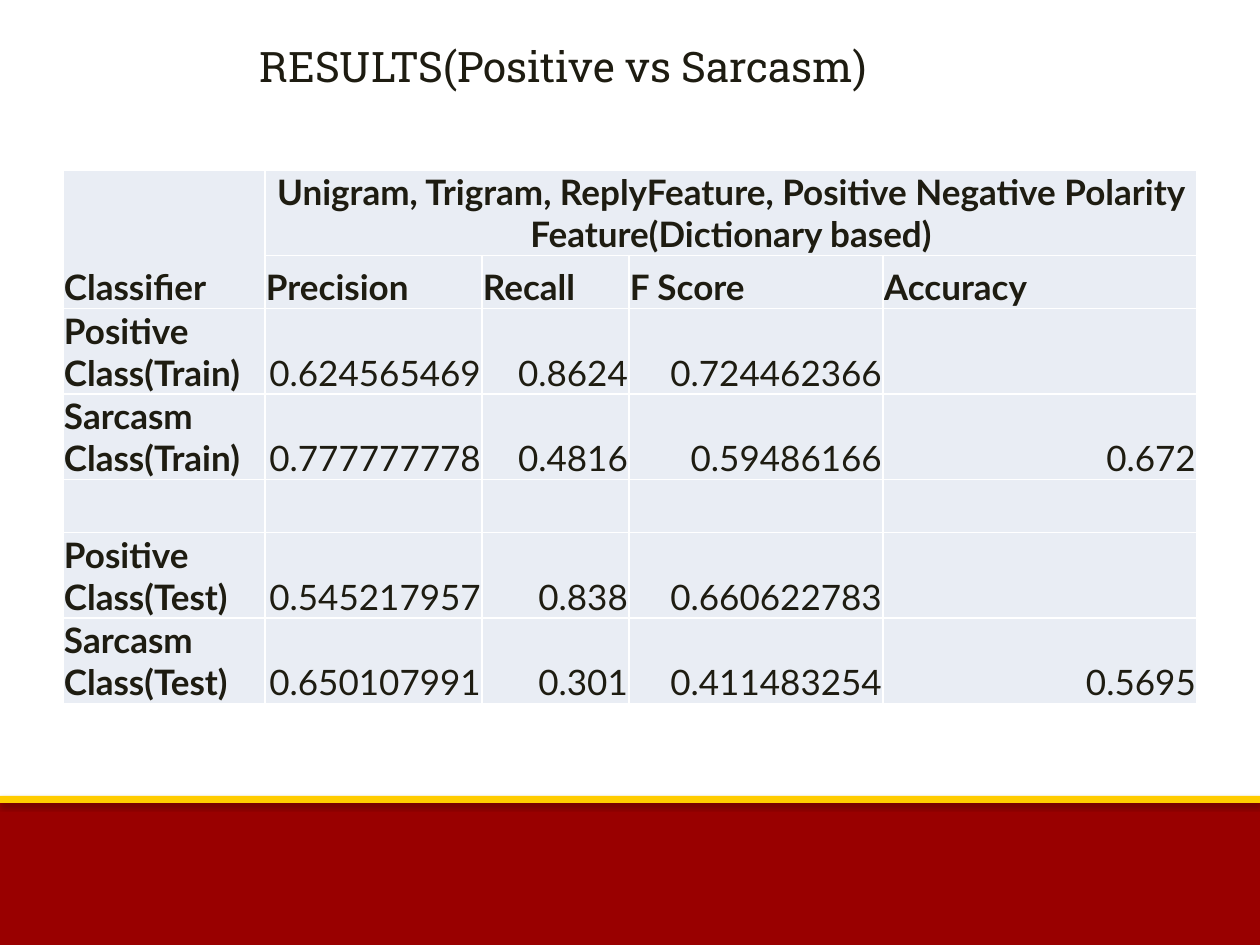
from lxml import etree
from pptx import Presentation
from pptx.dml.color import RGBColor
from pptx.enum.shapes import MSO_SHAPE
from pptx.enum.text import MSO_ANCHOR, MSO_AUTO_SIZE, PP_ALIGN
from pptx.oxml import parse_xml
from pptx.oxml.ns import nsdecls, qn
from pptx.util import Emu, Pt

RECTANGLE = MSO_SHAPE.RECTANGLE
TOP, BOTTOM = MSO_ANCHOR.TOP, MSO_ANCHOR.BOTTOM
LEFT, CENTER, RIGHT = PP_ALIGN.LEFT, PP_ALIGN.CENTER, PP_ALIGN.RIGHT
NO_AUTOFIT = MSO_AUTO_SIZE.NONE
TITLE_ONLY = 5

COLORS = {
    "text": "1E1C11",
    "cell": "E9EDF4",
    "border": "FFFFFF",
    "band": "990000",
    "stripe": "FFCC00",
    "shadow": "000000",
}

HEADER_ROWS = 2
COLUMN_WIDTHS = [202, 217, 147, 254, 314]
ROW_HEIGHTS = [84, 53, 85, 85, 53, 85, 85]
RESULTS = [
    ["Classifier", "Unigram, Trigram, ReplyFeature, Positive Negative Polarity "
     "Feature(Dictionary based)", "", "", ""],
    ["", "Precision", "Recall", "F Score", "Accuracy"],
    ["Positive Class(Train)", "0.624565469", "0.8624", "0.724462366", ""],
    ["Sarcasm Class(Train)", "0.777777778", "0.4816", "0.59486166", "0.672"],
    ["", "", "", "", ""],
    ["Positive Class(Test)", "0.545217957", "0.838", "0.660622783", ""],
    ["Sarcasm Class(Test)", "0.650107991", "0.301", "0.411483254", "0.5695"],
]


def px(length):
    return Emu(round(length * 914400 / 126))


def color(name):
    return RGBColor.from_string(COLORS[name])


def format_paragraph(para, face, size, align, bold=False):
    para.alignment = align
    para.font.name = face
    para.font.size = Pt(size)
    para.font.bold = bold
    para.font.color.rgb = color("text")


def add_bar(page, top, height, fill, opacity, distance):
    """Full-width footer bar with a soft shadow below it."""
    bar = page.shapes.add_shape(RECTANGLE, 0, px(top), px(1260), px(height))
    bar.fill.solid()
    bar.fill.fore_color.rgb = color(fill)
    bar.line.fill.background()
    bar.shadow.inherit = False
    effects = bar.element.spPr.find(qn("a:effectLst"))
    effects.append(parse_xml(
        f'<a:outerShdw {nsdecls("a")} blurRad="{Pt(3.1)}" dist="{Pt(distance)}" '
        f'dir="5400000" rotWithShape="0"><a:srgbClr val="{COLORS["shadow"]}">'
        f'<a:alpha val="{opacity * 1000}"/></a:srgbClr></a:outerShdw>'))


def set_title(page, text):
    title = page.shapes.title
    title.left, title.top, title.width, title.height = map(px, (2, 34, 1123, 63))
    frame = title.text_frame
    frame.text = text
    frame.auto_size = NO_AUTOFIT
    frame.vertical_anchor = TOP
    format_paragraph(frame.paragraphs[0], "Roboto Slab", 24, CENTER)


def add_borders(cell):
    properties = cell._tc.get_or_add_tcPr()
    for position, side in enumerate(("lnL", "lnR", "lnT", "lnB")):
        line = etree.Element(qn(f"a:{side}"), w=str(Pt(1)))
        fill = etree.SubElement(line, qn("a:solidFill"))
        etree.SubElement(fill, qn("a:srgbClr"), val=COLORS["border"])
        properties.insert(position, line)


def format_cell(cell, text, align, bold):
    cell.fill.solid()
    cell.fill.fore_color.rgb = color("cell")
    add_borders(cell)
    if text:
        cell.text = text
        cell.vertical_anchor = BOTTOM
        cell.margin_left = cell.margin_right = cell.margin_top = px(1)
        cell.margin_bottom = 0
        format_paragraph(cell.text_frame.paragraphs[0], "Lato", 20, align, bold)


def add_results_table(page):
    frame = page.shapes.add_table(
        len(ROW_HEIGHTS), len(COLUMN_WIDTHS), px(63), px(170),
        px(sum(COLUMN_WIDTHS)), px(sum(ROW_HEIGHTS)))
    table = frame.table
    table.first_row = table.horz_banding = False
    for column, width in zip(table.columns, COLUMN_WIDTHS):
        column.width = px(width)
    for row, height in zip(table.rows, ROW_HEIGHTS):
        row.height = px(height)

    # Labels are bold and left, numbers plain and right
    for r, values in enumerate(RESULTS):
        for c, text in enumerate(values):
            label = r < HEADER_ROWS or c == 0
            format_cell(table.cell(r, c), text, LEFT if label else RIGHT, label)

    # Spanning headers
    table.cell(0, 0).merge(table.cell(1, 0))
    features = table.cell(0, 1)
    features.merge(table.cell(0, 4))
    features.text_frame.paragraphs[0].alignment = CENTER


def main():
    deck = Presentation()
    deck.slide_width, deck.slide_height = px(1260), px(945)
    page = deck.slides.add_slide(deck.slide_layouts[TITLE_ONLY])

    # Footer
    add_bar(page, 800, 145, "band", opacity=35, distance=1.8)
    add_bar(page, 796, 7, "stripe", opacity=38, distance=1.6)

    # Content
    set_title(page, "RESULTS(Positive vs Sarcasm)")
    add_results_table(page)
    deck.save("out.pptx")


if __name__ == "__main__":
    main()
